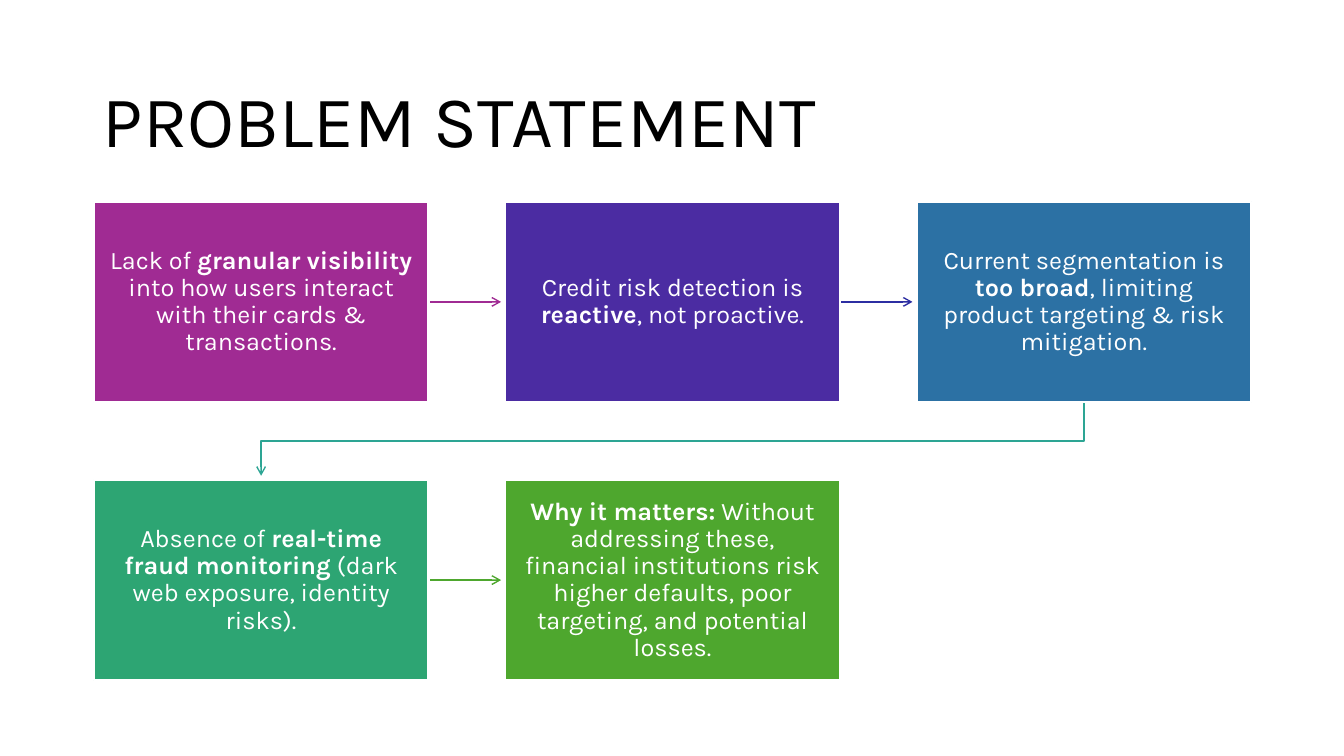
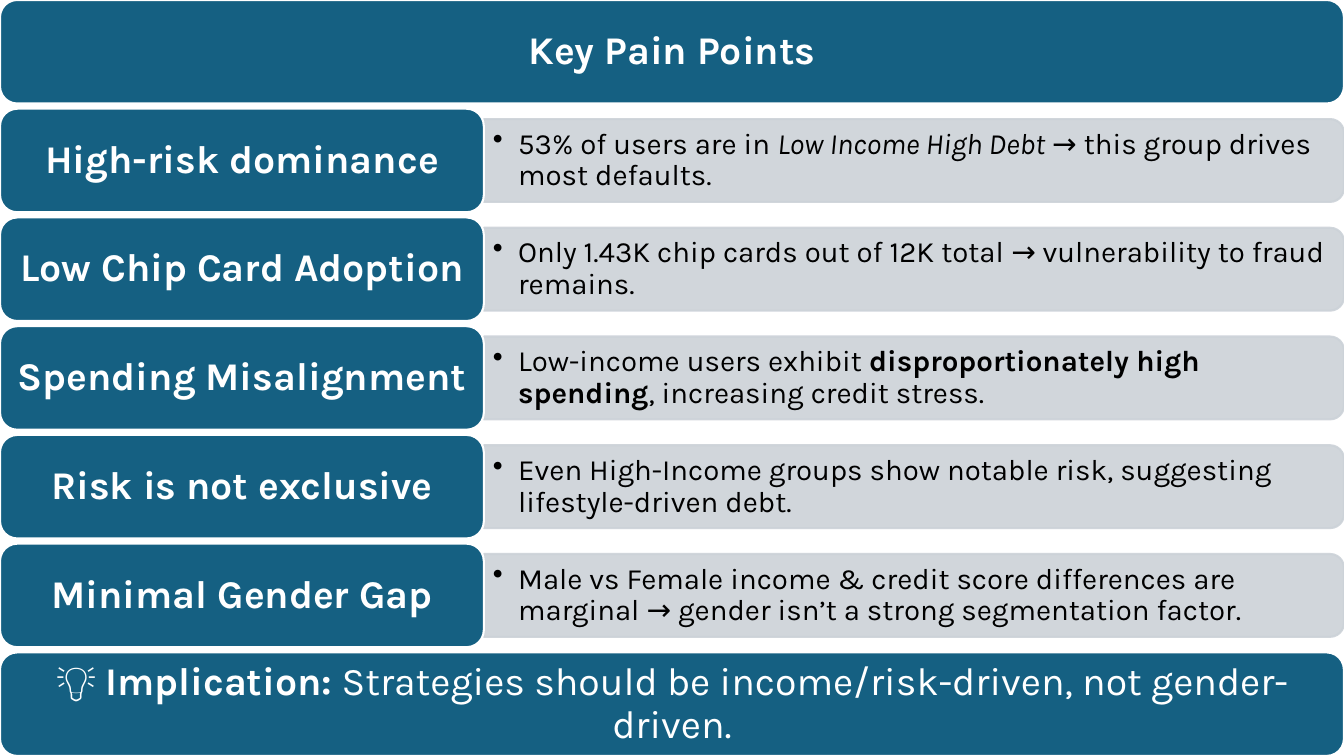
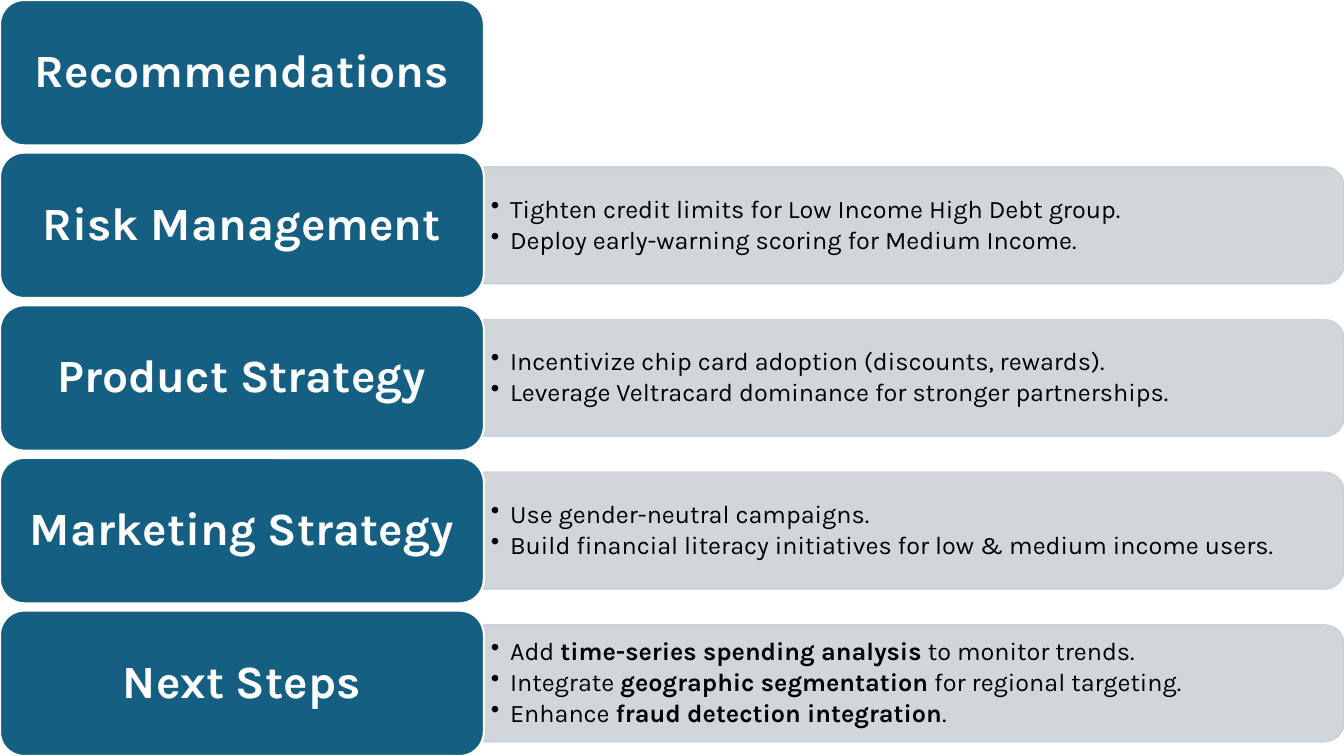
import pptx
import pptx.util
import pptx.dml.color
import pptx.enum.shapes
import pptx.enum.text
from dataclasses import dataclass
from lxml import etree
from pptx.oxml.ns import qn

Pt = pptx.util.Pt
SHAPE = pptx.enum.shapes.MSO_SHAPE
ALIGN = pptx.enum.text.PP_ALIGN
W, H = 13.33, 7.5


@dataclass(frozen=True)
class Theme:
    font: str = "Karla"
    white: str = "FFFFFF"
    black: str = "000000"
    label: str = "156082"
    band: str = "CCD2D8"
    title_size: int = 52
    box_size: int = 18
    line_spacing: float = 0.9
    outline: float = 1.5
    arrow: float = 1


T = Theme()

# Flow grid of the problem statement: (left, top), box size, step between boxes
FLOW_X, FLOW_Y, BOX_W, BOX_H = 0.93, 2, 3.32, 1.99
STEP_X, STEP_Y = 4.08, 2.76
ARROW_GAP = 0.04
FLOW = [  # text, box colour, colour of the arrow that leaves the box
    ("Lack of **granular visibility** into how users interact with their cards & transactions.",
     "A02B93", "A02B93"),
    ("Credit risk detection is **reactive**, not proactive.", "4B2CA2", "2C2EA2"),
    ("Current segmentation is **too broad**, limiting product targeting & risk mitigation.",
     "2C71A4", "2DA594"),
    ("Absence of **real-time fraud monitoring** (dark web exposure, identity risks).",
     "2DA573", "4EA72E"),
    ("**Why it matters:** Without addressing these, financial institutions risk higher "
     "defaults, poor targeting, and potential losses.", "4EA72E", None),
]

# Label-and-band rows: shares of the slide width and of the row height
LABEL_W = 0.36 * W
ROW_GAP, BAND_SHARE, CORNER = 0.05, 0.8, 0.05

PAIN_POINTS = [
    ("High-risk dominance",
     ["53% of users are in _Low Income High Debt_ → this group drives most defaults."]),
    ("Low Chip Card Adoption",
     ["Only 1.43K chip cards out of 12K total → vulnerability to fraud remains."]),
    ("Spending Misalignment",
     ["Low-income users exhibit **disproportionately high spending**, increasing credit stress."]),
    ("Risk is not exclusive",
     ["Even High-Income groups show notable risk, suggesting lifestyle-driven debt."]),
    ("Minimal Gender Gap",
     ["Male vs Female income & credit score differences are marginal → "
      "gender isn’t a strong segmentation factor."]),
]
IMPLICATION = "💡 **Implication:** Strategies should be income/risk-driven, not gender-driven."

RECOMMENDATIONS = [
    ("Risk Management", ["Tighten credit limits for Low Income High Debt group.",
                         "Deploy early-warning scoring for Medium Income."]),
    ("Product Strategy", ["Incentivize chip card adoption (discounts, rewards).",
                          "Leverage Veltracard dominance for stronger partnerships."]),
    ("Marketing Strategy", ["Use gender-neutral campaigns.",
                            "Build financial literacy initiatives for low & medium income users."]),
    ("Next Steps", ["Add **time-series spending analysis** to monitor trends.",
                    "Integrate **geographic segmentation** for regional targeting.",
                    "Enhance **fraud detection integration**."]),
]


@dataclass(frozen=True)
class RowStyle:
    rows: int
    label_size: int
    label_inset: float
    text_size: int
    text_inset: float
    indent: float

    @property
    def height(self):
        return H / (self.rows + (self.rows - 1) * ROW_GAP)

    def top(self, row):
        return row * self.height * (1 + ROW_GAP)


PAIN_STYLE = RowStyle(7, 28, 0.12, 21, 0.09, 0.25)
ADVICE_STYLE = RowStyle(5, 33, 0.14, 18, 0.07, 0.19)


# Basic helpers
def inches(*values):
    return [pptx.util.Inches(v) for v in values]


def rgb(color):
    return pptx.dml.color.RGBColor.from_string(color)


def add_bullet(p, indent):
    pPr = p._p.get_or_add_pPr()
    pPr.set("marL", str(pptx.util.Inches(indent)))
    pPr.set("indent", str(-pptx.util.Inches(indent)))
    bullet = etree.Element(qn("a:buChar"), char="•")
    defaults = pPr.find(qn("a:defRPr"))
    defaults.addprevious(bullet)


def add_runs(p, text):
    """**marks** bold and _marks_ italic."""
    for i, chunk in enumerate(text.split("**")):
        for j, part in enumerate(chunk.split("_")):
            if part:
                r = p.add_run()
                r.text = part
                if i % 2:
                    r.font.bold = True
                if j % 2:
                    r.font.italic = True


def write(tf, lines, size, color, align=ALIGN.CENTER, inset=(0.1, 0.05),
          bold=False, indent=None):
    tf.word_wrap = True
    tf.auto_size = pptx.enum.text.MSO_AUTO_SIZE.NONE
    tf.vertical_anchor = pptx.enum.text.MSO_ANCHOR.MIDDLE
    tf.margin_left = tf.margin_right = pptx.util.Inches(inset[0])
    tf.margin_top = tf.margin_bottom = pptx.util.Inches(inset[1])
    for i, line in enumerate(lines):
        p = tf.paragraphs[0] if i == 0 else tf.add_paragraph()
        p.alignment, p.line_spacing = align, T.line_spacing
        f = p.font
        f.name, f.size, f.bold = T.font, Pt(size), bold
        f.color.rgb = rgb(color)
        if indent:
            p.space_after = Pt(round(0.15 * size, 1))
            add_bullet(p, indent)
        add_runs(p, line)


def add_box(s, kind, at, fill, line):
    sp = s.shapes.add_shape(kind, *inches(*at))
    sp.shadow.inherit = False
    sp.fill.solid()
    sp.fill.fore_color.rgb = rgb(fill)
    sp.line.color.rgb = rgb(line)
    sp.line.width = Pt(T.outline)
    return sp


def set_title(s, text, at, **style):
    title = s.shapes.title
    title.left, title.top, title.width, title.height = inches(*at)
    write(title.text_frame, [text], **style)
    # Titles lie above the shapes drawn so far
    s.shapes._spTree.append(title._element)


def style_arrow(sp, color):
    sp.line.color.rgb = rgb(color)
    sp.line.width = Pt(T.arrow)
    etree.SubElement(sp.line._get_or_add_ln(), qn("a:tailEnd"), type="arrow")


# Flow slide
def add_straight_arrow(s, x1, x2, y, color):
    line = s.shapes.add_connector(pptx.enum.shapes.MSO_CONNECTOR.STRAIGHT,
                                  *inches(x1, y, x2, y))
    style_arrow(line, color)
    etree.SubElement(line._element.spPr, qn("a:effectLst"))


def add_return_arrow(s, start, end, bend_y, color):
    (x1, y1), (x2, y2) = start, end
    builder = s.shapes.build_freeform(*inches(x1, y1))
    corners = [(x1, bend_y), (x2, bend_y), (x2, y2)]
    builder.add_line_segments([inches(*c) for c in corners], close=False)
    sp = builder.convert_to_shape()
    sp.shadow.inherit = False
    sp.fill.background()
    style_arrow(sp, color)


def flow_slide(s):
    set_title(s, "PROBLEM STATEMENT", (0.92, 0.61, 11.5, 1.24),
              size=T.title_size, color=T.black, align=ALIGN.LEFT)
    for i, (text, fill, arrow) in enumerate(FLOW):
        row, col = divmod(i, 3)
        x, y = FLOW_X + col * STEP_X, FLOW_Y + row * STEP_Y
        if arrow and col < 2:
            add_straight_arrow(s, x + BOX_W, x + STEP_X - ARROW_GAP, y + BOX_H / 2, arrow)
        elif arrow:
            add_return_arrow(s, (x + BOX_W / 2, y + BOX_H),
                             (FLOW_X + BOX_W / 2, y + STEP_Y - ARROW_GAP),
                             y + (BOX_H + STEP_Y) / 2, arrow)
        sp = add_box(s, SHAPE.RECTANGLE, (x, y, BOX_W, BOX_H), fill, T.white)
        write(sp.text_frame, [text], T.box_size, T.white, inset=(0.16, 0.17))


# Label-and-band slides
def add_label(s, style, row, text=None, width=LABEL_W, bold=True):
    sp = add_box(s, SHAPE.ROUNDED_RECTANGLE, (0, style.top(row), width, style.height),
                 T.label, T.white)
    if text:
        write(sp.text_frame, [text], style.label_size, T.white,
              inset=(style.label_inset, style.label_inset / 2), bold=bold)


def add_header(s, style, text, width):
    add_label(s, style, 0, width=width)
    pad = CORNER * style.height
    set_title(s, text, (pad, pad, width - 2 * pad, style.height - 2 * pad),
              size=style.label_size, color=T.white, bold=True,
              inset=(style.label_inset, style.label_inset / 2))


def add_band(s, style, row, lines):
    width, height = W - LABEL_W, BAND_SHARE * style.height
    mid_x, mid_y = LABEL_W + width / 2, style.top(row) + style.height / 2
    # Turned a quarter so that the round corners face right
    sp = add_box(s, SHAPE.ROUND_2_SAME_RECTANGLE,
                 (mid_x - height / 2, mid_y - width / 2, height, width), T.band, T.band)
    sp.rotation = 90
    for color in sp._element.spPr.iter(qn("a:srgbClr")):
        etree.SubElement(color, qn("a:alpha"), val="90000")
    pad = CORNER * height
    tb = s.shapes.add_textbox(*inches(LABEL_W, mid_y - height / 2 + pad,
                                      width - pad, height - 2 * pad))
    write(tb.text_frame, lines, style.text_size, T.black, ALIGN.LEFT,
          inset=(style.text_inset, 0.04), indent=style.indent)


def rows_slide(s, style, title, rows, title_width, closing=None):
    add_header(s, style, title, title_width)
    for row, (label, lines) in enumerate(rows, start=1):
        add_band(s, style, row, lines)
        add_label(s, style, row, label)
    if closing:
        add_label(s, style, style.rows - 1, closing, W, bold=False)


def main():
    prs = pptx.Presentation()
    prs.slide_width, prs.slide_height = inches(W, H)
    title_only = prs.slide_layouts[5]

    flow_slide(prs.slides.add_slide(title_only))
    rows_slide(prs.slides.add_slide(title_only), PAIN_STYLE, "Key Pain Points",
               PAIN_POINTS, W, IMPLICATION)
    rows_slide(prs.slides.add_slide(title_only), ADVICE_STYLE, "Recommendations",
               RECOMMENDATIONS, LABEL_W)
    prs.save("out.pptx")


if __name__ == "__main__":
    main()
